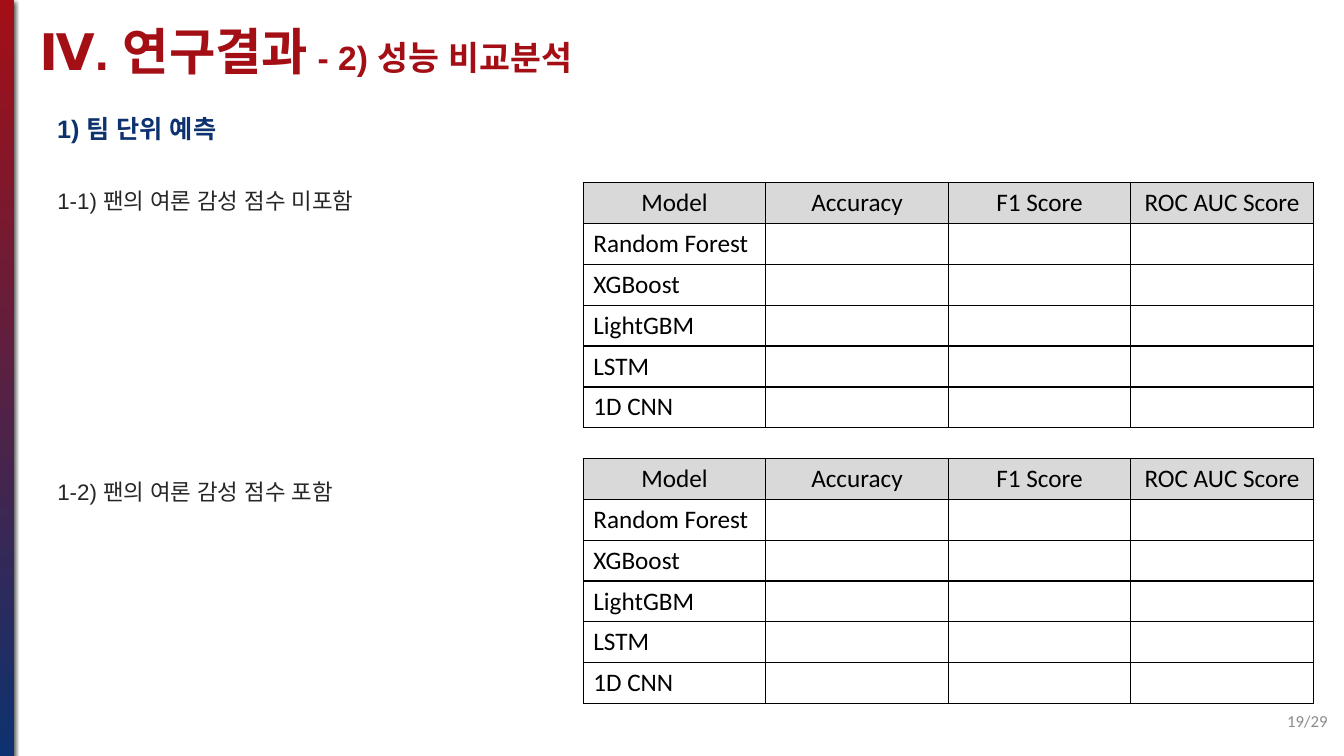
from dataclasses import dataclass

from lxml import etree
from pptx import Presentation
from pptx.dml.color import RGBColor
from pptx.enum import shapes, text
from pptx.oxml import ns
from pptx.util import Cm, Pt


@dataclass(frozen=True)
class Theme:
    """Colours, fonts and type sizes of the slide."""
    red: str = "A40F16"
    navy: str = "0D326F"
    ink: str = "262626"
    black: str = "000000"
    grey: str = "8C8C8C"
    header: str = "D9D9D9"
    korean_font: str = "Arial"
    latin_font: str = "Calibri"
    title_size: int = 36
    subtitle_size: int = 24
    heading_size: int = 18
    body_size: int = 16
    page_size: int = 12
    border: float = 1


THEME = Theme()
METRICS = ["Model", "Accuracy", "F1 Score", "ROC AUC Score"]
MODELS = ["Random Forest", "XGBoost", "LightGBM", "LSTM", "1D CNN"]
TABLE_LEFT, TABLE_TOPS = 14.7, (4.6, 11.55)
COLUMN_WIDTH, ROW_HEIGHT = 4.6, 1.02


def add_xml(parent, tag, **attributes):
    """Append a DrawingML element to the parent."""
    return etree.SubElement(parent, ns.qn(tag), attributes)


def write(paragraph, words, size, color, font=THEME.korean_font, bold=False,
          align=text.PP_ALIGN.LEFT):
    """Add one formatted run to a paragraph."""
    paragraph.alignment = align
    run = paragraph.add_run()
    run.text = words
    run.font.size, run.font.bold, run.font.name = Pt(size), bold, font
    run.font.color.rgb = RGBColor.from_string(color)
    add_xml(run._r.get_or_add_rPr(), "a:ea", typeface=font)


def set_frame(holder, left, top, width, height, anchor=text.MSO_ANCHOR.TOP):
    """Place a text holder and return its wrapped frame."""
    holder.left, holder.top = Cm(left), Cm(top)
    holder.width, holder.height = Cm(width), Cm(height)
    frame = holder.text_frame
    frame.word_wrap = True
    frame.auto_size = text.MSO_AUTO_SIZE.NONE
    frame.vertical_anchor = anchor
    return frame


def add_text_box(slide, *box, **options):
    """Add a text box and return its first paragraph."""
    holder = slide.shapes.add_textbox(0, 0, 0, 0)
    return set_frame(holder, *box, **options).paragraphs[0]


def add_side_bar(slide):
    """Draw the gradient bar along the left edge."""
    bar = slide.shapes.add_shape(shapes.MSO_SHAPE.RECTANGLE, Cm(-9.35), Cm(9.35),
                                 Cm(19.05), Cm(0.35))
    bar.rotation = 270
    bar.line.fill.background()
    bar.fill.gradient()
    bar.fill.gradient_angle = 0
    for stop, color in zip(bar.fill.gradient_stops, (THEME.navy, THEME.red)):
        stop.color.rgb = RGBColor.from_string(color)
    bar.shadow.inherit = False
    effects = bar._element.spPr.find(ns.qn("a:effectLst"))
    shadow = add_xml(effects, "a:outerShdw", blurRad=str(Pt(3)), dist=str(Pt(2)),
                     dir="5400000")
    shade = add_xml(shadow, "a:srgbClr", val=THEME.black)
    add_xml(shade, "a:alpha", val="75000")


def add_title(slide):
    """Fill the title with the chapter and its section."""
    title = set_frame(slide.shapes.title, 0.74, 0.38, 22.17, 1.8).paragraphs[0]
    write(title, "Ⅳ. 연구결과", THEME.title_size, THEME.red, bold=True)
    write(title, " - 2) 성능 비교분석", THEME.subtitle_size, THEME.red, bold=True)


def add_cases(slide):
    """List the two prediction cases beside their tables."""
    frame = set_frame(slide.placeholders[1], 1.19, 4.6, 12.93, 8.46)
    cases = [("1-1) 팬의 여론 감성 점수 미포함", 0), ("1-2) 팬의 여론 감성 점수 포함", 188)]
    for index, (case, gap) in enumerate(cases):
        paragraph = frame.add_paragraph() if index else frame.paragraphs[0]
        write(paragraph, case, THEME.body_size, THEME.ink)
        paragraph.space_before = Pt(gap)
        properties = paragraph._p.get_or_add_pPr()
        properties.set("marL", "0")
        properties.set("indent", "0")
        add_xml(properties, "a:buNone")


def add_borders(cell):
    """Outline a table cell on all four sides."""
    properties = cell._tc.get_or_add_tcPr()
    for side in "LRTB":
        line = add_xml(properties, f"a:ln{side}", w=str(Pt(THEME.border)))
        add_xml(add_xml(line, "a:solidFill"), "a:srgbClr", val=THEME.black)


def add_score_table(slide, top):
    """Add a model table with score columns left open."""
    rows = [METRICS] + [[model] + [""] * (len(METRICS) - 1) for model in MODELS]
    table = slide.shapes.add_table(
        len(rows), len(METRICS), Cm(TABLE_LEFT), Cm(top),
        Cm(COLUMN_WIDTH * len(METRICS)), Cm(ROW_HEIGHT * len(rows))).table
    table.first_row = table.horz_banding = False
    for row_index, row in enumerate(rows):
        for column_index, label in enumerate(row):
            cell = table.cell(row_index, column_index)
            add_borders(cell)
            align = text.PP_ALIGN.LEFT
            if row_index == 0:
                cell.fill.solid()
                cell.fill.fore_color.rgb = RGBColor.from_string(THEME.header)
                align = text.PP_ALIGN.CENTER
            else:
                cell.fill.background()
            if label:
                write(cell.text_frame.paragraphs[0], label, THEME.heading_size,
                      THEME.black, font=THEME.latin_font, align=align)


def main():
    """Build and save the slide."""
    deck = Presentation()
    deck.slide_width, deck.slide_height = Cm(33.87), Cm(19.05)
    slide = deck.slides.add_slide(deck.slide_layouts[1])
    add_side_bar(slide)
    add_title(slide)
    heading = add_text_box(slide, 1.19, 2.74, 16.54, 1.02)
    write(heading, "1) 팀 단위 예측", THEME.heading_size, THEME.navy, bold=True)
    add_cases(slide)
    for top in TABLE_TOPS:
        add_score_table(slide, top)
    page = add_text_box(slide, 25.81, 17.65, 7.9, 1.02, anchor=text.MSO_ANCHOR.MIDDLE)
    write(page, "19/29", THEME.page_size, THEME.grey, font=THEME.latin_font,
          align=text.PP_ALIGN.RIGHT)
    deck.save("out.pptx")


if __name__ == "__main__":
    main()
